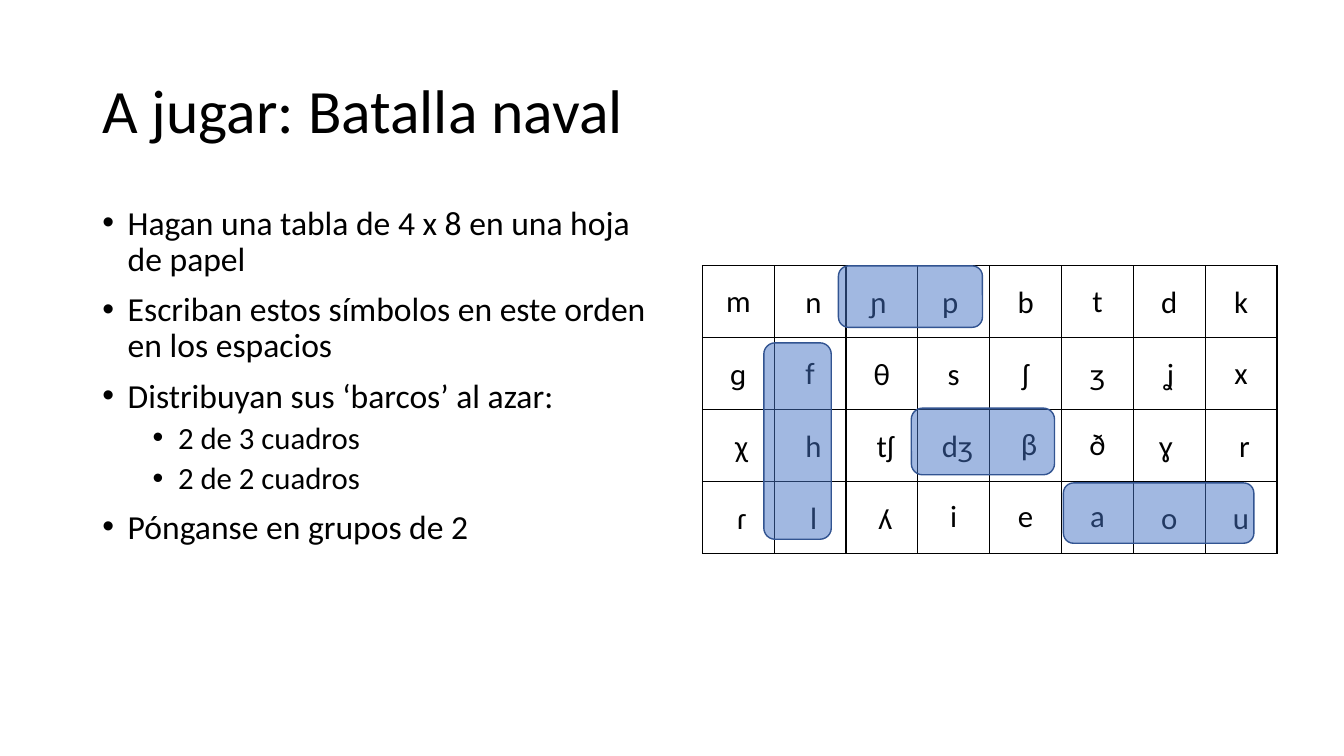
from lxml import etree
from pptx import Presentation
from pptx.dml.color import RGBColor
from pptx.enum.shapes import MSO_SHAPE
from pptx.enum.text import MSO_ANCHOR, PP_ALIGN
from pptx.oxml.ns import qn
from pptx.util import Cm, Pt

ROUNDED = MSO_SHAPE.ROUNDED_RECTANGLE
MIDDLE = MSO_ANCHOR.MIDDLE
CENTER = PP_ALIGN.CENTER
COLORS = {"text": "000000", "grid": "000000", "ship": "4472C4", "ship_line": "325491"}
FONT = "Calibri"


def add_text(paragraph, text, size, **formats):
    run = paragraph.add_run()
    run.text = text
    run.font.name = FONT
    run.font.size = Pt(size)
    run.font.color.rgb = RGBColor.from_string(COLORS["text"])
    for name, value in formats.items():
        setattr(paragraph, name, value)


def add_frame(left, top, width, height):
    box = slide.shapes.add_textbox(Cm(left), Cm(top), Cm(width), Cm(height))
    box.text_frame.word_wrap = True
    return box.text_frame


presentation = Presentation()
presentation.slide_width = Cm(33.87)
presentation.slide_height = Cm(19.05)
slide = presentation.slides.add_slide(presentation.slide_layouts[6])

# Title
title = add_frame(2.33, 1.01, 29.21, 3.68)
title.vertical_anchor = MIDDLE
add_text(title.paragraphs[0], "A jugar: Batalla naval", 44, line_spacing=0.9)

# Instructions: level and text
instructions = [
    (0, "Hagan una tabla de 4 x 8 en una hoja de papel"),
    (0, "Escriban estos símbolos en este orden en los espacios"),
    (0, "Distribuyan sus ‘barcos’ al azar:"),
    (1, "2 de 3 cuadros"),
    (1, "2 de 2 cuadros"),
    (0, "Pónganse en grupos de 2"),
]
level_formats = [
    {"size": 24, "space_before": Pt(10)},
    {"size": 22, "space_before": Pt(5)},
]
body = add_frame(2.33, 5.07, 14.4, 12.09)
for index, (level, text) in enumerate(instructions):
    paragraph = body.add_paragraph() if index else body.paragraphs[0]
    add_text(paragraph, text, level=level, line_spacing=0.9, **level_formats[level])
    properties = paragraph._p.get_or_add_pPr()
    properties.set("marL", str(Cm(0.64 + 1.27 * level)))
    properties.set("indent", str(-Cm(0.64)))
    etree.SubElement(properties, qn("a:buFont")).set("typeface", "Arial")
    etree.SubElement(properties, qn("a:buChar")).set("char", "•")

# Board of phonetic symbols
NBSP = "\u00a0"
board = [
    ["m", NBSP + "n", "ɲ" + NBSP, "p" + NBSP, "b", "t", "d", "k"],
    ["ɡ", "f", "θ", "s", "ʃ", "ʒ", "ʝ", "x"],
    [NBSP + "χ", NBSP + "h", NBSP + "tʃ", NBSP + "dʒ", NBSP + "β", "ð", "ɣ" + NBSP, NBSP + "r"],
    [NBSP + "ɾ", NBSP + "l", NBSP + "ʎ", "i", "e", "a", "o", "u"],
]
single_spaced = {"m", "t", "f", "x", NBSP + "β", "ð", "i", "e", "a"}
CELL = 1.81
cell_formats = {
    "vertical_anchor": MIDDLE,
    "margin_left": Cm(0.18),
    "margin_right": Cm(0.18),
    "margin_top": 0,
    "margin_bottom": 0,
}
table = slide.shapes.add_table(
    4, 8, Cm(17.7), Cm(6.7), Cm(8 * CELL), Cm(4 * CELL)
).table
table.first_row = False
table.horz_banding = False
for track in table.columns:
    track.width = Cm(CELL)
for track in table.rows:
    track.height = Cm(CELL)
for row, symbols in enumerate(board):
    for column, symbol in enumerate(symbols):
        cell = table.cell(row, column)
        for name, value in cell_formats.items():
            setattr(cell, name, value)
        spacing = 1.0 if symbol in single_spaced else 1.07
        add_text(cell.text_frame.paragraphs[0], symbol, 22,
                 alignment=CENTER, line_spacing=spacing)
        cell.fill.background()
        properties = cell._tc.get_or_add_tcPr()
        for position, side in enumerate(["lnL", "lnR", "lnT", "lnB"]):
            border = etree.Element(qn("a:" + side), w=str(Pt(1)))
            fill = etree.SubElement(border, qn("a:solidFill"))
            etree.SubElement(fill, qn("a:srgbClr")).set("val", COLORS["grid"])
            properties.insert(position, border)

# Ships: left, top, width, height, rotation
ships = [
    (19.25, 8.64, 1.7, 4.95, 0),
    (26.8, 12.17, 4.8, 1.52, 0),
    (21.13, 6.7, 3.63, 1.55, 0),
    (23.93, 9.32, 1.68, 3.61, 90),
]
for left, top, width, height, rotation in ships:
    ship = slide.shapes.add_shape(ROUNDED, Cm(left), Cm(top), Cm(width), Cm(height))
    ship.rotation = rotation
    ship.shadow.inherit = False
    ship.fill.solid()
    ship.fill.fore_color.rgb = RGBColor.from_string(COLORS["ship"])
    color = ship._element.spPr.find(qn("a:solidFill")).find(qn("a:srgbClr"))
    etree.SubElement(color, qn("a:alpha")).set("val", "50000")
    ship.line.color.rgb = RGBColor.from_string(COLORS["ship_line"])
    ship.line.width = Pt(1)

presentation.save("out.pptx")
